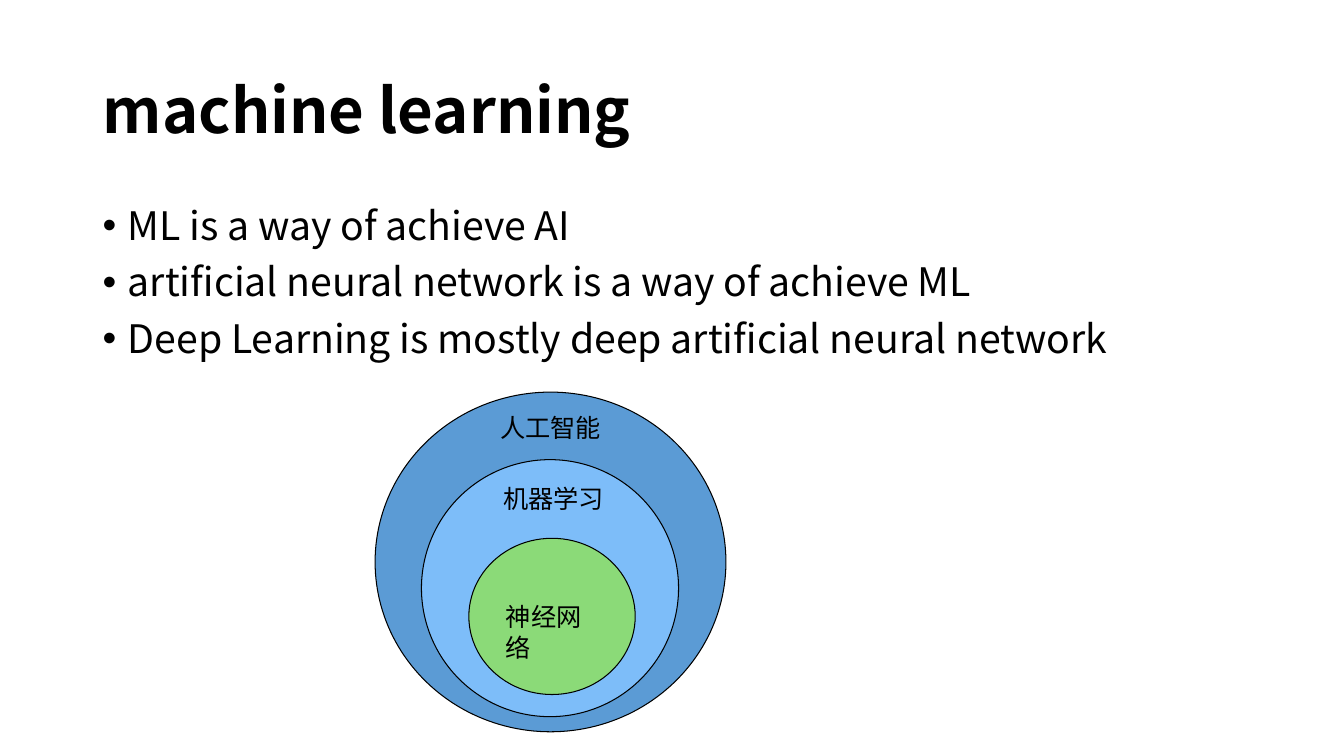
from lxml.etree import SubElement
from pptx import Presentation
from pptx.dml.color import RGBColor
from pptx.enum.shapes import MSO_SHAPE
from pptx.enum.text import MSO_ANCHOR, PP_ALIGN
from pptx.oxml.ns import qn
from pptx.util import Inches, Pt

BLACK = RGBColor(0x00, 0x00, 0x00)
BLUE = RGBColor(0x5B, 0x9B, 0xD5)
LIGHT_BLUE = RGBColor(0x7D, 0xBD, 0xF9)
GREEN = RGBColor(0x8B, 0xDA, 0x78)

TITLE = "machine learning"
POINTS = [
    "ML is a way of achieve AI",
    "artificial neural network is a way of achieve ML",
    "Deep Learning is mostly deep artificial neural network",
]
RINGS = [
    ((3.72, 3.89, 3.48, 3.37), BLUE),
    ((4.18, 4.56, 2.55, 2.55), LIGHT_BLUE),
    ((4.65, 5.34, 1.65, 1.55), GREEN),
]
LABELS = [
    ("人工智能", (4.8, 4.04, 1.26, 0.4), {"word_wrap": False, "margin_left": Inches(0.16)}),
    ("机器学习", (4.83, 4.75, 1.26, 0.4), {"word_wrap": False, "margin_left": Inches(0.16)}),
    ("神经网络", (4.92, 5.92, 1.19, 0.4), {"word_wrap": True}),
]


def apply(target, values):
    """Set every attribute named in a dict of format values."""
    for name, value in values.items():
        setattr(target, name, value)


class SlideBuilder:
    """Holds the text style and the current slide."""

    font = "Noto Sans CJK SC"

    def __init__(self, page):
        """Start on the given slide."""
        self.page = page

    def place(self, box, at):
        """Move a box to left, top, width and height in inches."""
        apply(box, dict(zip(("left", "top", "width", "height"), map(Inches, at))))

    def fill_para(self, para, text, size, bold=False, **layout):
        """Fill a paragraph with one styled span."""
        apply(para, {"alignment": PP_ALIGN.LEFT, **layout})
        span = para.add_run()
        span.text = text
        apply(span.font, {"name": self.font, "size": Pt(size), "bold": bold})
        span.font.color.rgb = BLACK
        SubElement(span.font._element, qn("a:ea"), typeface=self.font)

    def title(self, text, at):
        """Place and fill the title placeholder."""
        box = self.page.shapes.title
        self.place(box, at)
        apply(box.text_frame, {"word_wrap": True, "vertical_anchor": MSO_ANCHOR.MIDDLE})
        self.fill_para(box.text_frame.paragraphs[0], text, 44, bold=True, line_spacing=0.9)

    def bullets(self, points, at):
        """Add a bulleted list."""
        frame = self.page.shapes.add_textbox(*map(Inches, at)).text_frame
        frame.word_wrap = True
        for index, point in enumerate(points):
            para = frame.add_paragraph() if index else frame.paragraphs[0]
            self.fill_para(para, point, 28, line_spacing=0.9, space_before=Pt(10))
            settings = para._p.get_or_add_pPr()
            settings.set("marL", str(Inches(0.25)))
            settings.set("indent", str(Inches(-0.25)))
            SubElement(settings, qn("a:buFont"), typeface="Arial")
            SubElement(settings, qn("a:buChar"), char="•")

    def ring(self, group, at, color):
        """Add a filled ellipse with a thin outline."""
        shape = group.shapes.add_shape(MSO_SHAPE.OVAL, *map(Inches, at))
        shape.shadow.inherit = False
        shape.fill.solid()
        shape.fill.fore_color.rgb = color
        shape.line.color.rgb = BLACK
        shape.line.width = Pt(0.75)

    def label(self, group, text, at, layout):
        """Add a ring label."""
        frame = group.shapes.add_textbox(*map(Inches, at)).text_frame
        apply(frame, layout)
        self.fill_para(frame.paragraphs[0], text, 18)


def main():
    """Build and save the slide."""
    deck = Presentation()
    apply(deck, {"slide_width": Inches(13.33), "slide_height": Inches(7.5)})
    builder = SlideBuilder(deck.slides.add_slide(deck.slide_layouts[5]))
    builder.title(TITLE, (0.92, 0.4, 11.5, 1.45))
    builder.bullets(POINTS, (0.92, 2, 11.5, 4.76))
    diagram = builder.page.shapes.add_group_shape()
    for at, color in RINGS:
        builder.ring(diagram, at, color)
    for text, at, layout in LABELS:
        builder.label(diagram, text, at, layout)
    deck.save("out.pptx")


if __name__ == "__main__":
    main()
